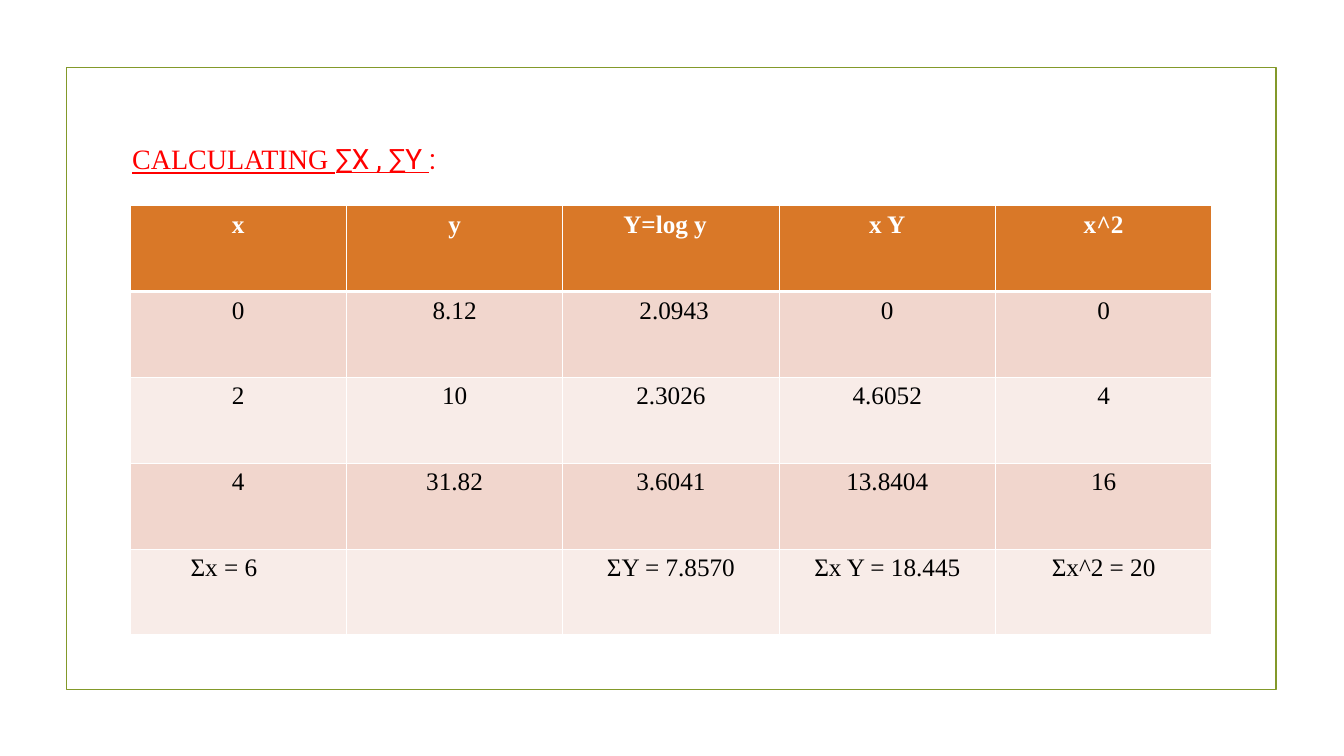
from lxml import etree
from pptx import Presentation
from pptx import util as u
from pptx.dml.color import RGBColor
from pptx.enum import shapes, text
from pptx.oxml import ns

PX = 9144
COLORS = {
    "paper": "FFFFFF", "frame": "83992A", "title": "FF0000", "ink": "000000",
    "header": "D97828", "odd": "F1D6CD", "even": "F8ECE8",
}
SERIF = "Times New Roman"
INDENT = 60
ROWS = [
    ["x", "y", "Y=log y", "x Y", "x^2"],
    ["0", "8.12", " 2.0943", "0", "0"],
    ["2", "10", "2.3026", "4.6052", "4"],
    ["4", "31.82", "3.6041", "13.8404", "16"],
    ["Σx = 6", "", "ΣY = 7.8570", "Σx Y = 18.445", "Σx^2 = 20"],
]
INDENTED = {(0, 2), (4, 0)}


def px(length):
    """Turn px into EMU."""
    return u.Emu(round(length * PX))


def rgb(name):
    """Look up a named colour."""
    return RGBColor.from_string(COLORS[name])


def add_span(para, words, size=18, font=SERIF, color="ink", bold=False, underline=False):
    """Append formatted text to a paragraph."""
    span = para.add_run()
    span.text = words
    span.font.size = u.Pt(size)
    span.font.name = font
    span.font.color.rgb = rgb(color)
    span.font.bold = bold
    span.font.underline = underline


def add_frame(page, box):
    """Draw the outline around the page content."""
    frame = page.shapes.add_shape(shapes.MSO_SHAPE.RECTANGLE, *map(px, box))
    frame.shadow.inherit = False
    frame.fill.background()
    frame.line.color.rgb = rgb("frame")
    frame.line.width = u.Pt(1.25)


def fill_title(page, box):
    """Place and format the title placeholder."""
    title = page.shapes.title
    title.left, title.top, title.width, title.height = map(px, box)
    frame = title.text_frame
    frame.word_wrap = True
    frame.auto_size = text.MSO_AUTO_SIZE.NONE
    frame.vertical_anchor = text.MSO_ANCHOR.MIDDLE
    para = frame.paragraphs[0]
    para.alignment = text.PP_ALIGN.LEFT
    style = {"size": 20, "color": "title"}
    add_span(para, "CALCULATING ", underline=True, **style)
    add_span(para, "∑X , ∑Y ", font="Roboto", underline=True, **style)
    add_span(para, ":", font="Roboto", **style)


def set_borders(cell, **widths):
    """Give a cell solid borders, with widths in points by side."""
    properties = cell._tc.get_or_add_tcPr()
    for index, side in enumerate("LRTB"):
        width = u.Pt(widths.get(side, 1))
        line = etree.Element(ns.qn(f"a:ln{side}"), w=str(width))
        fill = etree.SubElement(line, ns.qn("a:solidFill"))
        etree.SubElement(fill, ns.qn("a:srgbClr"), val=COLORS["paper"])
        properties.insert(index, line)


def add_sums_table(page, box):
    """Add the table of values and their sums."""
    table = page.shapes.add_table(len(ROWS), len(ROWS[0]), *map(px, box)).table
    for column in table.columns:
        column.width = px(box[2] / len(ROWS[0]))
    for r, values in enumerate(ROWS):
        table.rows[r].height = px(box[3] / len(ROWS))
        header = r == 0
        for c, value in enumerate(values):
            cell = table.cell(r, c)
            cell.fill.solid()
            cell.fill.fore_color.rgb = rgb("header" if header else "odd" if r % 2 else "even")
            set_borders(cell, B=3 if header else 1, T=3 if r == 1 else 1)
            para = cell.text_frame.paragraphs[0]
            para.alignment = text.PP_ALIGN.CENTER
            if (r, c) in INDENTED:
                para.alignment = text.PP_ALIGN.LEFT
                cell.margin_left = px(INDENT)
            if value:
                add_span(para, value, color="paper" if header else "ink", bold=header)


def main():
    """Build and save the deck."""
    deck = Presentation()
    deck.slide_width, deck.slide_height = px(1333), px(750)
    page = deck.slides.add_slide(deck.slide_layouts[5])
    page.background.fill.solid()
    page.background.fill.fore_color.rgb = rgb("paper")
    add_frame(page, (66, 67, 1200, 617))
    fill_title(page, (121, 131, 1073, 53))
    add_sums_table(page, (129, 204, 1073, 426))
    deck.save("out.pptx")


if __name__ == "__main__":
    main()
